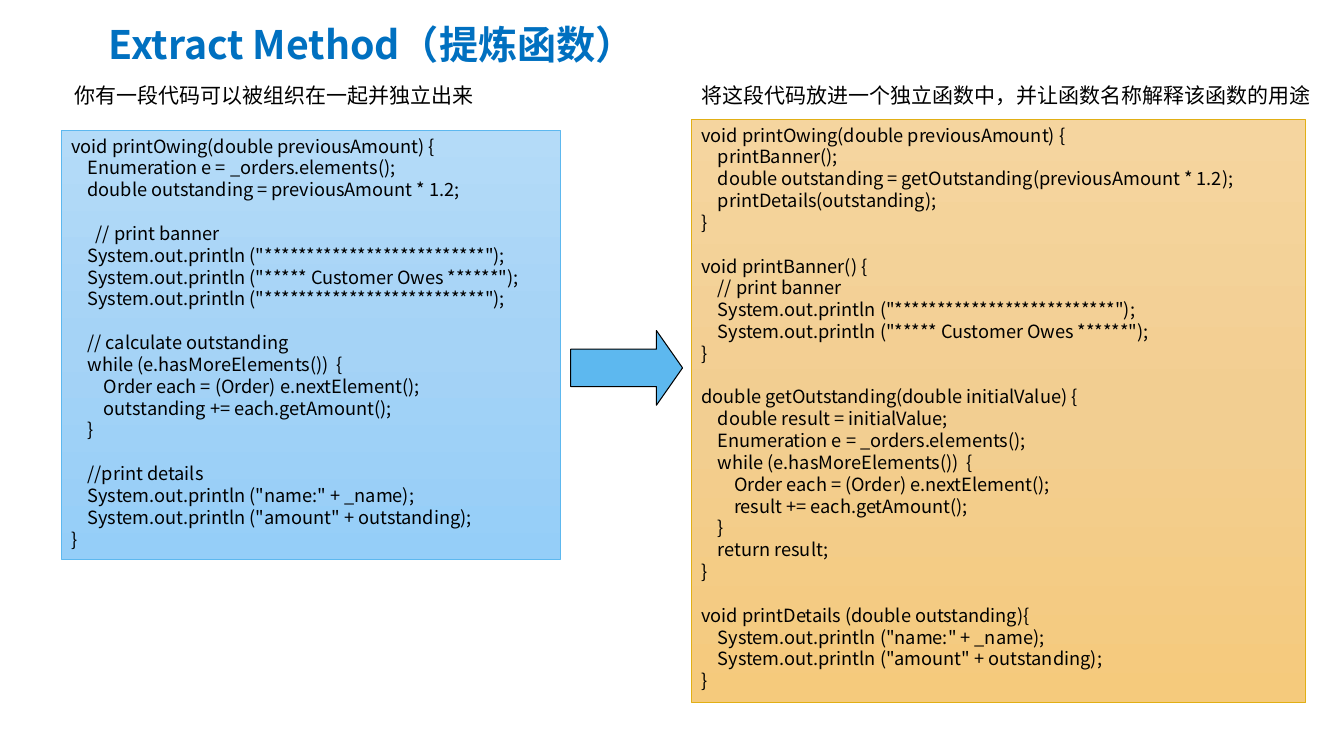
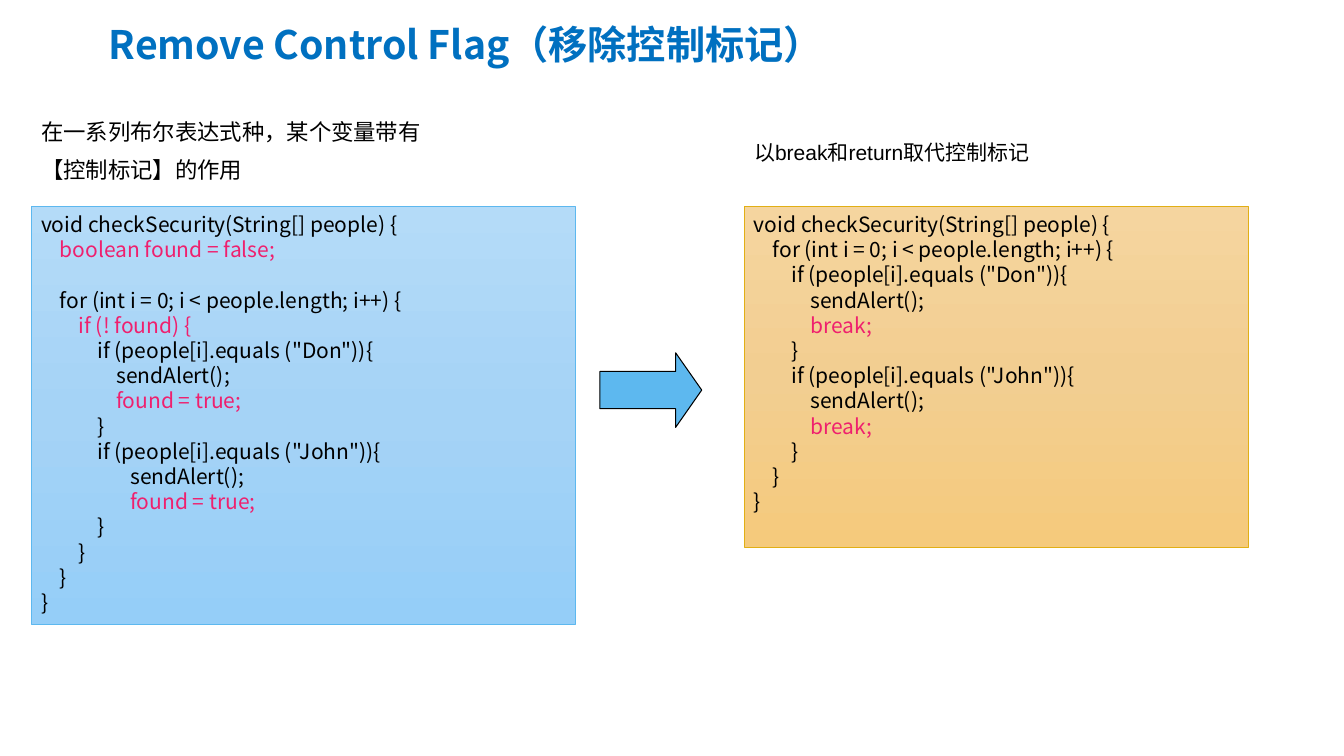
from copy import deepcopy

from pptx import Presentation
from pptx.dml.color import RGBColor
from pptx.enum.shapes import MSO_SHAPE
from pptx.enum.text import MSO_ANCHOR, MSO_AUTO_SIZE, PP_ALIGN
from pptx.oxml.ns import qn
from pptx.oxml.xmlchemy import OxmlElement
from pptx.util import Inches, Pt

RECT, ARROW = MSO_SHAPE.RECTANGLE, MSO_SHAPE.RIGHT_ARROW
TOP, MIDDLE = MSO_ANCHOR.TOP, MSO_ANCHOR.MIDDLE
LEFT, NO_FIT = PP_ALIGN.LEFT, MSO_AUTO_SIZE.NONE

CJK, LATIN = "Noto Sans CJK SC", "Arial"
LINE_HEIGHT = 1.2
COLORS = {
    "title": "0070C0",
    "text": "000000",
    "changed": "EF206E",
    "arrow": "5DB8EF",
}
PANELS = {
    "before": {"stops": ["B4DBF8", "A5D3F6", "95CEF8"], "line": "5DB8EF"},
    "after": {"stops": ["F5D59F", "F2CE91", "F5CA7C"], "line": "E1AF15"},
}
CHANGED = {"boolean found = false;", "if (! found) {", "found = true;", "break;"}

EXTRACT_BEFORE = """\
void printOwing(double previousAmount) {
    Enumeration e = _orders.elements();
    double outstanding = previousAmount * 1.2;

      // print banner
    System.out.println ("**************************");
    System.out.println ("***** Customer Owes ******");
    System.out.println ("**************************");

    // calculate outstanding
    while (e.hasMoreElements())  {
        Order each = (Order) e.nextElement();
        outstanding += each.getAmount();
    }

    //print details
    System.out.println ("name:" + _name);
    System.out.println ("amount" + outstanding);
}"""

EXTRACT_AFTER = """\
void printOwing(double previousAmount) {
    printBanner();
    double outstanding = getOutstanding(previousAmount * 1.2);
    printDetails(outstanding);
}

void printBanner() {
    // print banner
    System.out.println ("**************************");
    System.out.println ("***** Customer Owes ******");
}

double getOutstanding(double initialValue) {
    double result = initialValue;
    Enumeration e = _orders.elements();
    while (e.hasMoreElements())  {
        Order each = (Order) e.nextElement();
        result += each.getAmount();
    }
    return result;
}

void printDetails (double outstanding){
    System.out.println ("name:" + _name);
    System.out.println ("amount" + outstanding);
}"""

FLAG_BEFORE = """\
void checkSecurity(String[] people) {
    boolean found = false;

    for (int i = 0; i < people.length; i++) {
        if (! found) {
            if (people[i].equals ("Don")){
                sendAlert();
                found = true;
            }
            if (people[i].equals ("John")){
                   sendAlert();
                   found = true;
            }
        }
    }
}"""

FLAG_AFTER = """\
void checkSecurity(String[] people) {
    for (int i = 0; i < people.length; i++) {
        if (people[i].equals ("Don")){
            sendAlert();
            break;
        }
        if (people[i].equals ("John")){
            sendAlert();
            break;
        }
    }
}"""

SLIDES = [
    {
        "title": "Extract Method（提炼函数）",
        "captions": [
            ((0.64, 0.77, 4.5, 0.35), 15, "你有一段代码可以被组织在一起并独立出来"),
            ((6.86, 0.77, 6.39, 0.35), 15,
             "将这段代码放进一个独立函数中，并让函数名称解释该函数的用途"),
        ],
        "code_size": 13,
        "panels": [
            ("before", (0.61, 1.29, 4.95, 4.26), EXTRACT_BEFORE),
            ("after", (6.86, 1.18, 6.09, 5.79), EXTRACT_AFTER),
        ],
        "arrow": (5.66, 3.28, 1.11, 0.74),
    },
    {
        "title": "Remove Control Flag（移除控制标记）",
        "captions": [
            ((0.31, 1.12, 4.95, 0.77), 16,
             "在一系列布尔表达式种，某个变量带有\n【控制标记】的作用"),
            ((7.38, 1.33, 4.82, 0.35), 15, "以break和return取代控制标记"),
        ],
        "code_size": 15,
        "panels": [
            ("before", (0.31, 2.05, 5.4, 4.14), FLAG_BEFORE),
            ("after", (7.38, 2.05, 5, 3.38), FLAG_AFTER),
        ],
        "arrow": (5.95, 3.5, 1.01, 0.74),
    },
]


def write_lines(tf, text, size, font, color="text", anchor=TOP, gap=0, bold=False):
    tf.word_wrap = True
    tf.auto_size = NO_FIT
    tf.vertical_anchor = anchor
    for i, line in enumerate(text.split("\n")):
        p = tf.add_paragraph() if i else tf.paragraphs[0]
        p.alignment = LEFT
        p.line_spacing = Pt(size * LINE_HEIGHT)
        p.space_before = Pt(gap if i else 0)
        p.font.size = Pt(size)
        if not line:
            continue
        r = p.add_run()
        r.text = line
        r.font.size = Pt(size)
        r.font.bold = bold
        r.font.name = font
        shade = "changed" if line.strip() in CHANGED else color
        r.font.color.rgb = RGBColor.from_string(COLORS[shade])
        ea = OxmlElement("a:ea")
        ea.set("typeface", CJK)
        r.font._element.find(qn("a:latin")).addnext(ea)


def add_outlined(s, kind, box, line, width):
    sp = s.shapes.add_shape(kind, *map(Inches, box))
    sp.shadow.inherit = False
    sp.line.color.rgb = RGBColor.from_string(line)
    sp.line.width = Pt(width)
    return sp


prs = Presentation()
prs.slide_width, prs.slide_height = Inches(13.33), Inches(7.5)
title_only = prs.slide_layouts[5]

for page in SLIDES:
    s = prs.slides.add_slide(title_only)
    title = s.shapes.title
    title.left, title.top, title.width, title.height = map(
        Inches, (0.98, 0.15, 10.13, 0.57))
    write_lines(title.text_frame, page["title"], 28, CJK, "title", MIDDLE, bold=True)

    for box, size, text in page["captions"]:
        caption = s.shapes.add_textbox(*map(Inches, box))
        write_lines(caption.text_frame, text, size, LATIN, gap=size / 2)

    for name, box, code in page["panels"]:
        style = PANELS[name]
        panel = add_outlined(s, RECT, box, style["line"], 0.5)
        panel.fill.gradient()
        panel.fill.gradient_angle = 270
        first = panel._element.spPr.find(".//" + qn("a:gs"))
        first.addnext(deepcopy(first))
        for i, stop in enumerate(panel.fill.gradient_stops):
            stop.position = i / 2
            stop.color.rgb = RGBColor.from_string(style["stops"][i])
        write_lines(panel.text_frame, code, page["code_size"], CJK)

    arrow = add_outlined(s, ARROW, page["arrow"], COLORS["text"], 0.75)
    arrow.adjustments[0], arrow.adjustments[1] = 0.5, 0.35
    arrow.fill.solid()
    arrow.fill.fore_color.rgb = RGBColor.from_string(COLORS["arrow"])

prs.save("out.pptx")
